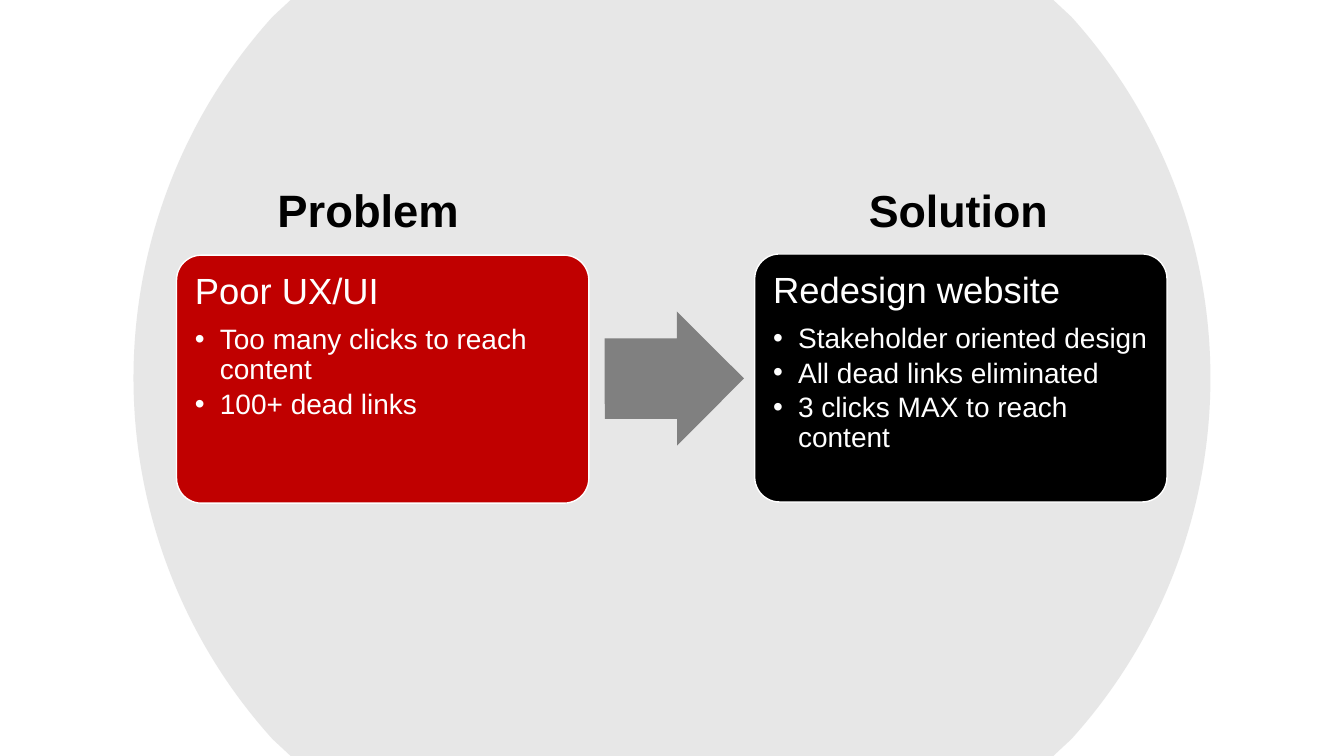
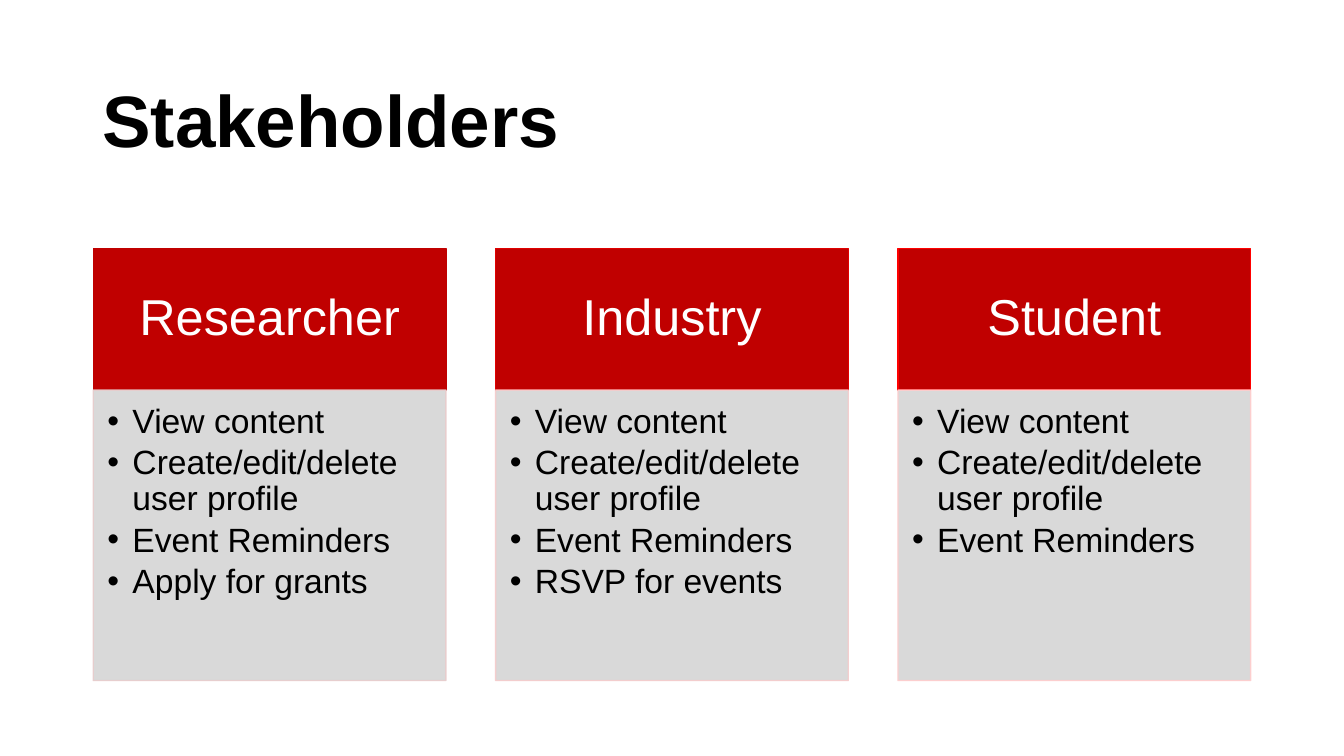
from math import asin, cos, pi, sin, tan

from lxml.etree import SubElement
from pptx import Presentation
from pptx.dml.color import RGBColor
from pptx.enum.shapes import MSO_SHAPE
from pptx.enum.text import MSO_ANCHOR, PP_ALIGN
from pptx.oxml.ns import qn
from pptx.util import Cm, Pt

BLACK = RGBColor(0x00, 0x00, 0x00)
WHITE = RGBColor(0xFF, 0xFF, 0xFF)
RED = RGBColor(0xC0, 0x00, 0x00)
GREY = RGBColor(0x80, 0x80, 0x80)
LIGHT_GREY = RGBColor(0xD9, 0xD9, 0xD9)

FONT = "Arial"
SLIDE_WIDTH, SLIDE_HEIGHT = 33.87, 19.05  # lengths are in centimetres
CIRCLE_RADIUS = 13.57
ARC_HALF_HEIGHT = 9.1  # the arcs end just short of the slide edges
EDGE_HALF_WIDTH = 9.61
BULLET_INDENT = 0.63

# Boxes are (left, top, width, height); insets are (left, top, right, bottom).
TITLE_INSETS = (0.25, 0.13, 0.25, 0.13)
PANEL_INSETS = (0.28, 0.28, 0.28, 0.28)
HEADER_INSETS = (0.71, 0.41, 0.71, 0.41)
BODY_INSETS = (0.36, 0.36, 0.48, 0.53)

PANELS = [
    {
        "title": "Problem", "title_size": 32.4, "title_box": (6.6, 4.06, 5.36, 2.6),
        "heading": "Poor UX/UI", "box": (4.45, 6.43, 10.39, 6.25), "fill": RED,
        "bullets": ["Too many clicks to reach content", "100+ dead links"],
    },
    {
        "title": "Solution", "title_size": 32, "title_box": (21.59, 4.06, 5.13, 2.6),
        "heading": "Redesign website", "box": (19.02, 6.4, 10.39, 6.25), "fill": BLACK,
        "bullets": [
            "Stakeholder oriented design",
            "All dead links eliminated",
            "3 clicks MAX to reach content",
        ],
    },
]
ARROW_BOX = (15.24, 7.85, 3.51, 3.38)

STAKEHOLDERS_TITLE = "Stakeholders"
STAKEHOLDERS_TITLE_BOX = (2.33, 1.55, 29.21, 3.15)
COMMON_TASKS = ["View content", "Create/edit/delete user profile", "Event Reminders"]
# Name, extra tasks, header outline, body outline
STAKEHOLDERS = [
    ("Researcher", ["Apply for grants"], RED, RGBColor(0xE8, 0xCC, 0xCC)),
    ("Industry", ["RSVP for events"], RGBColor(0xE0, 0x00, 0x00), RGBColor(0xF5, 0xCB, 0xCB)),
    ("Student", [], RGBColor(0xFF, 0x00, 0x00), RGBColor(0xFF, 0xCC, 0xCC)),
]
COLUMN_LEFT, COLUMN_WIDTH, COLUMN_GAP = 2.35, 8.89, 1.25
HEADER_TOP, HEADER_HEIGHT, BODY_HEIGHT = 6.27, 3.56, 7.32


def set_opacity(shape, color_path, percent):
    for color in shape._element.spPr.xpath(color_path):
        SubElement(color, qn("a:alpha")).set("val", str(percent * 1000))


def style_shape(shape, fill, outline=None):
    shape.shadow.inherit = False
    shape.fill.solid()
    shape.fill.fore_color.rgb = fill
    if outline is None:
        shape.line.fill.background()
    else:
        shape.line.color.rgb = outline
        shape.line.width = Pt(1)


def add_box(slide, kind, box, fill, outline=None):
    shape = slide.shapes.add_shape(kind, *map(Cm, box))
    style_shape(shape, fill, outline)
    return shape


def set_up_frame(shape, insets, anchor):
    frame = shape.text_frame
    frame.word_wrap = True
    frame.vertical_anchor = anchor
    for side, inset in zip(("left", "top", "right", "bottom"), insets):
        setattr(frame, f"margin_{side}", Cm(inset))


def add_bullet(paragraph):
    properties = paragraph._p.get_or_add_pPr()
    properties.set("marL", str(Cm(BULLET_INDENT)))
    properties.set("indent", str(-Cm(BULLET_INDENT)))
    SubElement(properties, qn("a:buFont")).set("typeface", FONT)
    SubElement(properties, qn("a:buChar")).set("char", "•")


def write_paragraphs(shape, paragraphs):
    """Write (text, font format, alignment, space after as share of size, bulleted) rows."""
    frame = shape.text_frame
    for index, (text, font_format, alignment, space, bulleted) in enumerate(paragraphs):
        paragraph = frame.add_paragraph() if index else frame.paragraphs[0]
        paragraph_format = {
            "alignment": alignment,
            "line_spacing": 0.9,
            "space_after": Pt(font_format["size"] * space),
        }
        for name, value in paragraph_format.items():
            setattr(paragraph, name, value)
        if bulleted:
            add_bullet(paragraph)
        run = paragraph.add_run()
        run.text = text
        run.font.color.rgb = font_format["color"]
        for name, value in {
            "name": FONT,
            "size": Pt(font_format["size"]),
            "bold": font_format.get("bold", False),
        }.items():
            setattr(run.font, name, value)


def bullet_rows(texts, size, color):
    return [(text, {"size": size, "color": color}, PP_ALIGN.LEFT, 0.15, True) for text in texts]


def add_title(slide, text, box, size, alignment):
    shape = slide.shapes.add_textbox(*map(Cm, box))
    set_up_frame(shape, TITLE_INSETS, MSO_ANCHOR.MIDDLE)
    font_format = {"size": size, "color": BLACK, "bold": True}
    write_paragraphs(shape, [(text, font_format, alignment, 0, False)])


def arc_points(middle, half_angle):
    """Return the start of an arc, then three Bezier points for each of its halves."""
    handle = 4 / 3 * tan(half_angle / 4)
    points = []
    for start, end in ((middle - half_angle, middle), (middle, middle + half_angle)):
        if not points:
            points.append((cos(start), sin(start)))
        points += [
            (cos(start) - handle * sin(start), sin(start) + handle * cos(start)),
            (cos(end) + handle * sin(end), sin(end) - handle * cos(end)),
            (cos(end), sin(end)),
        ]
    return [(x * CIRCLE_RADIUS, y * CIRCLE_RADIUS) for x, y in points]


def add_background_circle(slide):
    """Draw a centred circle cut off at the top and bottom of the slide."""
    center_x, center_y = SLIDE_WIDTH / 2, SLIDE_HEIGHT / 2
    half_angle = asin(ARC_HALF_HEIGHT / CIRCLE_RADIUS)
    outline = []
    for middle, side in ((0, 1), (pi, -1)):
        outline += arc_points(middle, half_angle)
        outline += [(x, side * center_y) for x in (side * EDGE_HALF_WIDTH, -side * EDGE_HALF_WIDTH)]
    points = [(Cm(center_x + x), Cm(center_y + y)) for x, y in outline]
    builder = slide.shapes.build_freeform(*points[0])
    builder.add_line_segments(points[1:], close=True)
    circle = builder.convert_to_shape()

    segments = circle._element.spPr.xpath(".//a:lnTo")
    arc_length = len(outline) // 2
    for first in (0, 3, arc_length, arc_length + 3):
        curve, *absorbed = segments[first:first + 3]
        curve.tag = qn("a:cubicBezTo")
        for segment in absorbed:
            curve.append(segment[0])
            segment.getparent().remove(segment)
    style_shape(circle, LIGHT_GREY)
    set_opacity(circle, "./a:solidFill/a:srgbClr", 62)


def add_panel(slide, panel):
    add_title(slide, panel["title"], panel["title_box"], panel["title_size"], PP_ALIGN.CENTER)
    shape = add_box(slide, MSO_SHAPE.ROUNDED_RECTANGLE, panel["box"], panel["fill"], WHITE)
    shape.adjustments[0] = 0.1
    set_up_frame(shape, PANEL_INSETS, MSO_ANCHOR.TOP)
    heading = (panel["heading"], {"size": 26, "color": WHITE}, PP_ALIGN.LEFT, 0.35, False)
    write_paragraphs(shape, [heading] + bullet_rows(panel["bullets"], 20, WHITE))


def build_problem_slide(slide):
    add_background_circle(slide)
    for panel in PANELS:
        add_panel(slide, panel)
    arrow = add_box(slide, MSO_SHAPE.RIGHT_ARROW, ARROW_BOX, GREY)
    arrow.adjustments[0] = 0.6
    arrow.adjustments[1] = 0.5
    arrow.rotation = 359.9


def build_stakeholders_slide(slide):
    add_title(slide, STAKEHOLDERS_TITLE, STAKEHOLDERS_TITLE_BOX, 52, PP_ALIGN.LEFT)
    for index, (name, extra_tasks, header_outline, body_outline) in enumerate(STAKEHOLDERS):
        left = COLUMN_LEFT + index * (COLUMN_WIDTH + COLUMN_GAP)
        header_box = (left, HEADER_TOP, COLUMN_WIDTH, HEADER_HEIGHT)
        header = add_box(slide, MSO_SHAPE.RECTANGLE, header_box, RED, header_outline)
        set_up_frame(header, HEADER_INSETS, MSO_ANCHOR.MIDDLE)
        header_font = {"size": 36, "color": WHITE}
        write_paragraphs(header, [(name, header_font, PP_ALIGN.CENTER, 0.35, False)])

        body_box = (left, HEADER_TOP + HEADER_HEIGHT, COLUMN_WIDTH, BODY_HEIGHT)
        body = add_box(slide, MSO_SHAPE.RECTANGLE, body_box, LIGHT_GREY, body_outline)
        set_opacity(body, "./a:ln/a:solidFill/a:srgbClr", 90)
        set_up_frame(body, BODY_INSETS, MSO_ANCHOR.TOP)
        write_paragraphs(body, bullet_rows(COMMON_TASKS + extra_tasks, 24, BLACK))


def main():
    presentation = Presentation()
    presentation.slide_width = Cm(SLIDE_WIDTH)
    presentation.slide_height = Cm(SLIDE_HEIGHT)
    blank_layout = presentation.slide_layouts[6]
    for build_slide in (build_problem_slide, build_stakeholders_slide):
        build_slide(presentation.slides.add_slide(blank_layout))
    presentation.save("out.pptx")


if __name__ == "__main__":
    main()
